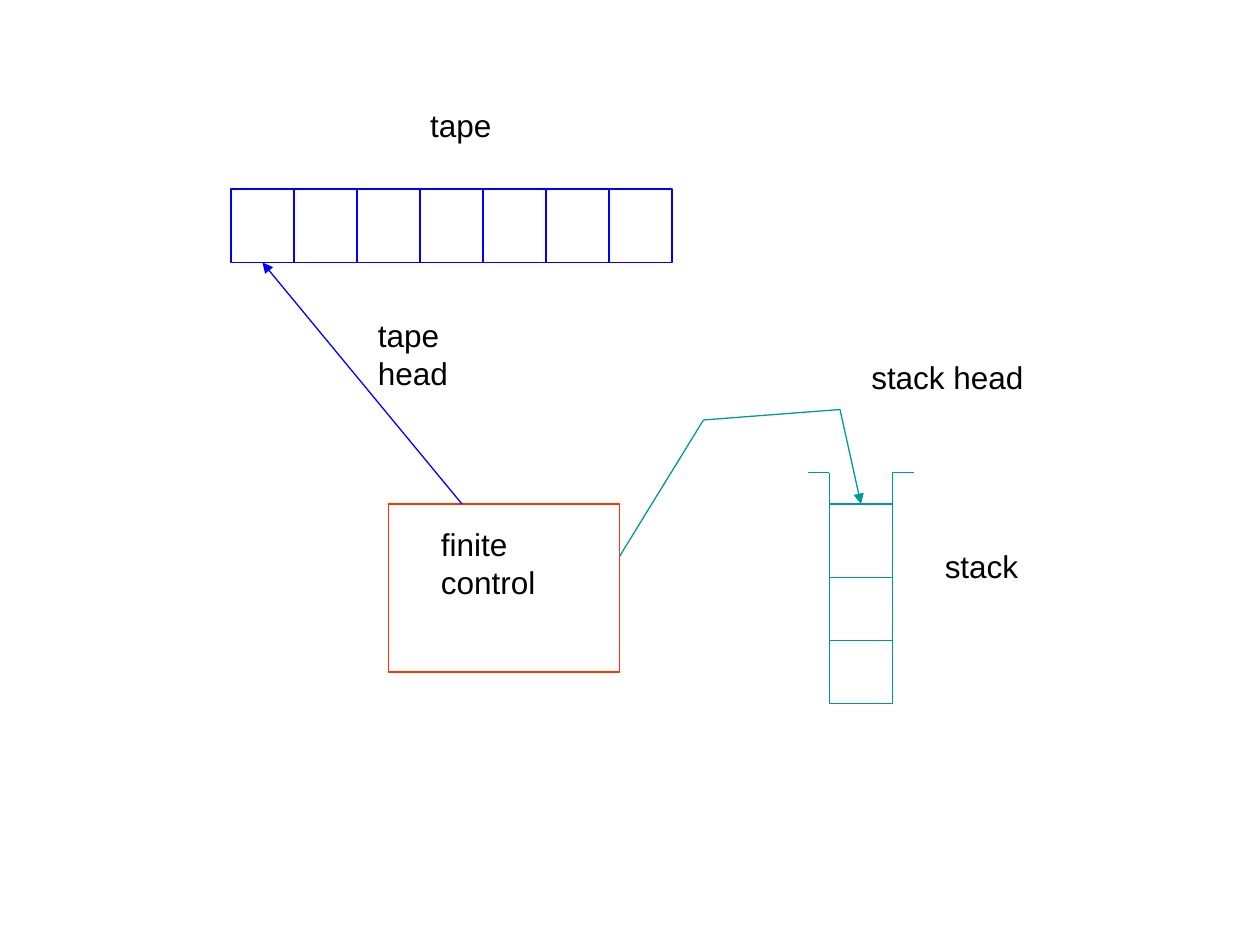
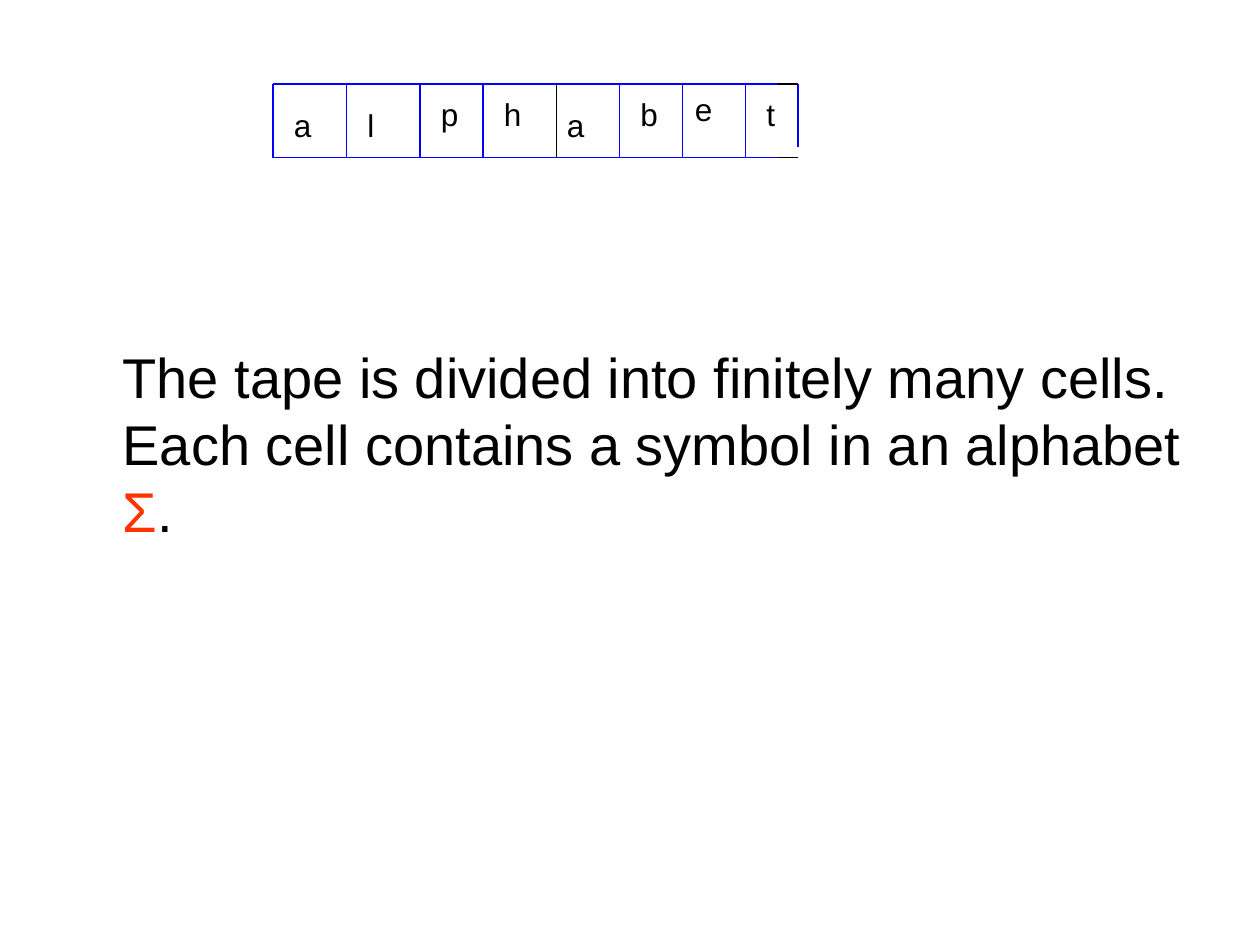
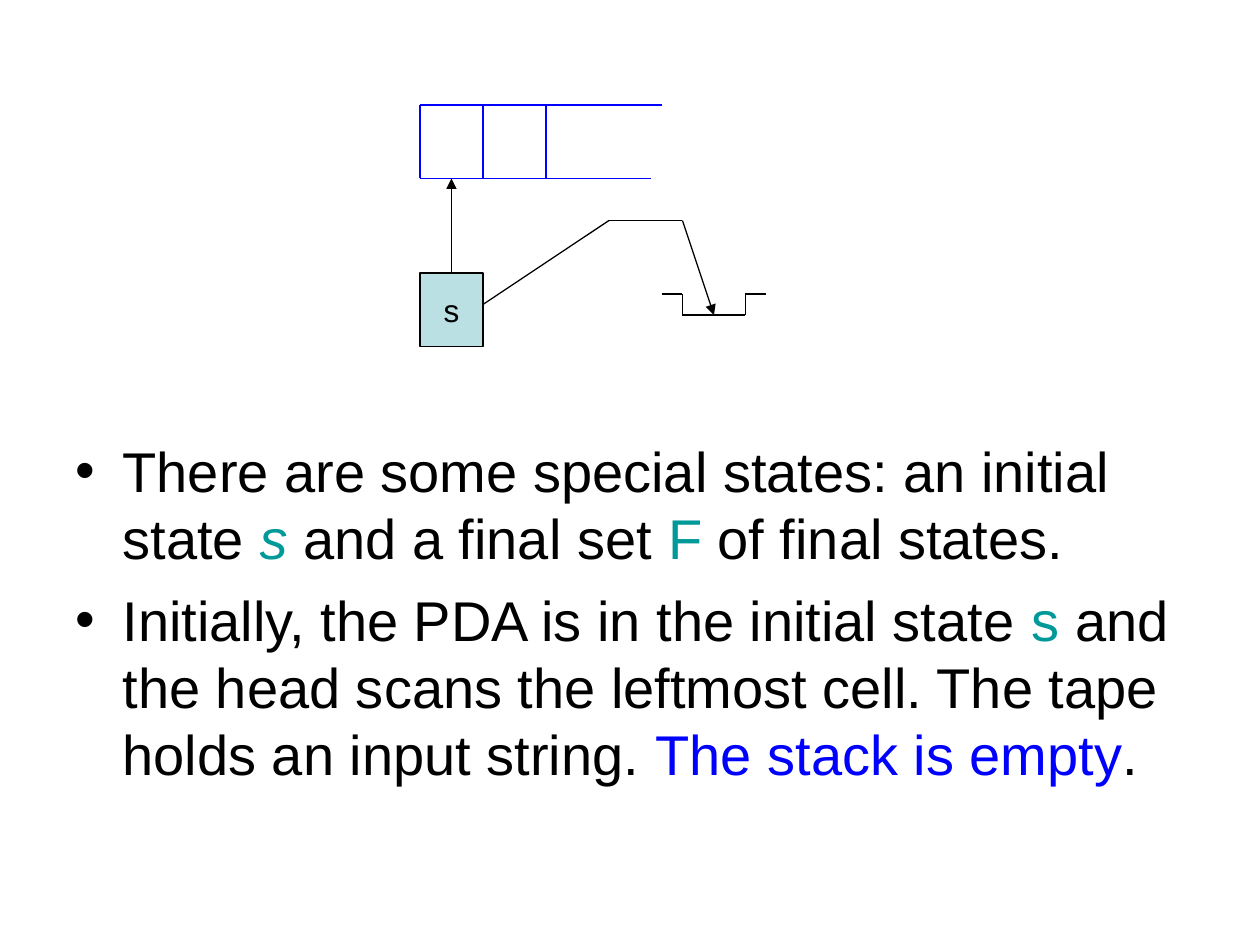
from dataclasses import dataclass
from typing import NamedTuple

from lxml import etree
from pptx import Presentation
from pptx.dml.color import RGBColor
from pptx.enum.shapes import MSO_CONNECTOR, MSO_SHAPE
from pptx.enum.text import MSO_ANCHOR, MSO_AUTO_SIZE, PP_ALIGN
from pptx.oxml.ns import qn
from pptx.util import Emu, Pt

STRAIGHT = MSO_CONNECTOR.STRAIGHT
RECT = MSO_SHAPE.RECTANGLE
MIDDLE = MSO_ANCHOR.MIDDLE
GROW = MSO_AUTO_SIZE.SHAPE_TO_FIT_TEXT
CENTER = PP_ALIGN.CENTER

EMU_PER_PX = 7620
FONT = "Arial"
BLACK, BLUE, RED, TEAL, PALE = "000000", "0000FF", "FF3300", "009999", "BBE0E3"
LINE_WIDTH = 0.75
BODY_LEFT, BODY_WIDTH, BODY_BOTTOM, BODY_INDENT = 60, 1090, 804, 45
LABEL_HEIGHT, TOP = 48, 0


class Run(NamedTuple):
    """A piece of body text with its own colour."""
    text: str
    color: str = BLACK
    italic: bool = False


@dataclass
class Box:
    """A rectangle outline, optionally filled."""
    x: int
    y: int
    w: int
    h: int
    line: str
    fill: str | None = None


@dataclass
class Label:
    """A short caption of one or more lines."""
    text: str
    x: int
    y: int
    w: int
    h: int = LABEL_HEIGHT


@dataclass
class Trace:
    """A chain of straight lines, optionally ending in an arrowhead."""
    points: list[tuple[int, int]]
    color: str = BLACK
    arrow: bool = False


def px(n: int) -> Emu:
    """Turn px into EMU."""
    return Emu(n * EMU_PER_PX)


def rgb(value: str) -> RGBColor:
    """Turn a hex string into a colour."""
    return RGBColor.from_string(value)


def add_run(p, text: str, *, size: int = 18, color: str = BLACK, italic: bool = False) -> None:
    """Append formatted text to a paragraph."""
    r = p.add_run()
    r.text = text
    r.font.name = FONT
    r.font.size = Pt(size)
    r.font.italic = italic
    r.font.color.rgb = rgb(color)


def add_box(s, box: Box):
    """Draw a rectangle and return it."""
    sp = s.shapes.add_shape(RECT, px(box.x), px(box.y), px(box.w), px(box.h))
    sp.shadow.inherit = False
    sp.line.color.rgb = rgb(box.line)
    sp.line.width = Pt(LINE_WIDTH)
    if box.fill:
        sp.fill.solid()
        sp.fill.fore_color.rgb = rgb(box.fill)
    else:
        sp.fill.background()
    return sp


def add_trace(s, trace: Trace) -> list:
    """Draw the lines of a trace and return its connectors."""
    connectors = []
    for start, end in zip(trace.points, trace.points[1:]):
        c = s.shapes.add_connector(STRAIGHT, *map(px, start + end))
        c.line.color.rgb = rgb(trace.color)
        c.line.width = Pt(LINE_WIDTH)
        etree.SubElement(c._element.spPr, qn("a:effectLst"))
        connectors.append(c)
    if trace.arrow:
        ln = connectors[-1]._element.spPr.find(qn("a:ln"))
        etree.SubElement(ln, qn("a:tailEnd"), type="triangle")
    return connectors


def add_dividers(s, xs: list[int], top: int, bottom: int, color: str = BLUE) -> None:
    """Draw the upright lines between tape cells."""
    for x in xs:
        add_trace(s, Trace([(x, top), (x, bottom)], color))


def add_label(s, label: Label) -> None:
    """Write a caption that does not wrap."""
    tf = s.shapes.add_textbox(px(label.x), px(label.y), px(label.w), px(label.h)).text_frame
    tf.word_wrap = False
    tf.auto_size = GROW
    for i, line in enumerate(label.text.split("\n")):
        add_run(tf.add_paragraph() if i else tf.paragraphs[0], line)


def add_body(s, top: int, paragraphs: list[list[Run]], bullets: bool = False) -> None:
    """Write the body text down to the common bottom edge."""
    tf = s.shapes.add_textbox(
        px(BODY_LEFT), px(top), px(BODY_WIDTH), px(BODY_BOTTOM - top)).text_frame
    tf.word_wrap = True
    for i, runs in enumerate(paragraphs):
        p = tf.add_paragraph() if i else tf.paragraphs[0]
        p.space_before = Pt(8)
        pPr = p._p.get_or_add_pPr()
        pPr.set("marL", str(px(BODY_INDENT)))
        pPr.set("indent", str(px(-BODY_INDENT if bullets else 0)))
        if bullets:
            etree.SubElement(pPr, qn("a:buFont"), typeface=FONT)
            etree.SubElement(pPr, qn("a:buChar"), char="•")
        for run in runs:
            add_run(p, run.text, size=32, color=run.color, italic=run.italic)


def build_machine(s) -> None:
    """Draw the tape, finite control and stack of the automaton."""
    add_box(s, Box(220, 180, 420, 70, BLUE))
    add_dividers(s, list(range(280, 640, 60)), 180, 250)
    add_box(s, Box(370, 480, 220, 160, RED))
    add_trace(s, Trace([(440, 480), (250, 250)], BLUE, arrow=True))
    stack = add_box(s, Box(790, 480, 60, 190, TEAL))
    for y in (610, 550):
        add_trace(s, Trace([(790, y), (850, y)], TEAL))
    for x, rim in ((790, 770), (850, 870)):
        add_trace(s, Trace([(x, 480), (x, 450), (rim, 450)], TEAL))
    head = add_trace(s, Trace([(590, 530), (670, 400), (800, 390), (820, 480)], TEAL, arrow=True))
    head[-1].end_connect(stack, TOP)
    for label in (
        Label("stack", 888, 515, 94),
        Label("stack head", 818, 335, 169),
        Label("finite\ncontrol", 408, 494, 114, 84),
        Label("tape head", 348, 295, 157),
        Label("tape", 398, 95, 82),
    ):
        add_label(s, label)


def build_tape(s) -> None:
    """Draw a tape holding a word and explain its cells."""
    add_body(s, 320, [[
        Run("The tape is divided into finitely many cells. "
            "Each cell contains a symbol in an alphabet "),
        Run("Σ", RED), Run("."),
    ]])
    top, bottom = 80, 150
    for y in (top, bottom):
        add_trace(s, Trace([(260, y), (740, y)], BLUE))
        add_trace(s, Trace([(740, y), (760, y)]))
    add_dividers(s, [260, 330, 400, 460, 590, 650, 710], top, bottom)
    add_dividers(s, [530], top, bottom, BLACK)
    add_dividers(s, [760], top, 140)
    for label in (
        Label("a", 268, 95, 41),
        Label("l", 338, 95, 30),
        Label("p", 408, 85, 41),
        Label("h", 468, 85, 41),
        Label("a", 528, 95, 41),
        Label("b", 598, 85, 41),
        Label("e", 650, 80, 41),
        Label("t", 718, 85, 32),
    ):
        add_label(s, label)


def build_start(s) -> None:
    """Draw the automaton at its start and describe the special states."""
    add_body(s, 410, [
        [Run("There are some special states: an initial state "), Run("s", TEAL, True),
         Run(" and a final set "), Run("F", TEAL), Run(" of final states.")],
        [Run("Initially, the PDA is in the initial state "), Run("s", TEAL),
         Run(" and the head scans the leftmost cell. The tape holds an input string. "),
         Run("The stack is empty", BLUE), Run(".")],
    ], bullets=True)
    add_trace(s, Trace([(630, 100), (400, 100), (400, 170), (620, 170)], BLUE))
    add_dividers(s, [460, 520], 100, 170)
    state = add_box(s, Box(400, 260, 60, 70, BLACK, PALE))
    tf = state.text_frame
    tf.word_wrap = False
    tf.vertical_anchor = MIDDLE
    p = tf.paragraphs[0]
    p.alignment = CENTER
    add_run(p, "s")
    tape_head = add_trace(s, Trace([(430, 260), (430, 170)], arrow=True))
    tape_head[0].begin_connect(state, TOP)
    add_trace(s, Trace([(630, 280), (650, 280), (650, 300), (710, 300), (710, 280), (730, 280)]))
    add_trace(s, Trace([(460, 290), (580, 210), (650, 210), (680, 300)], arrow=True))


def main() -> None:
    """Build and save the slides."""
    prs = Presentation()
    prs.slide_width, prs.slide_height = px(1200), px(900)
    for build in (build_machine, build_tape, build_start):
        build(prs.slides.add_slide(prs.slide_layouts[6]))
    prs.save("out.pptx")


if __name__ == "__main__":
    main()
